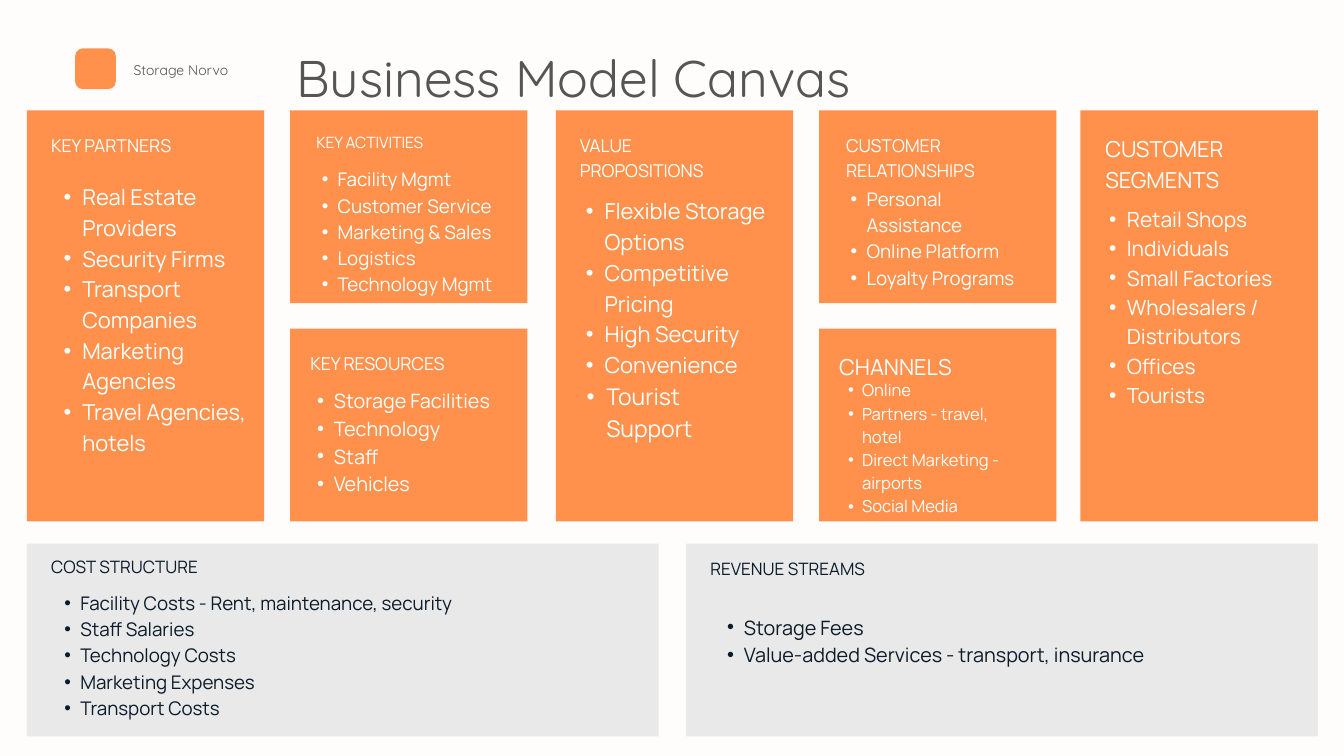
from dataclasses import dataclass

from lxml import etree
from pptx import Presentation
from pptx import util as u
from pptx.dml.color import RGBColor
from pptx.enum import shapes, text
from pptx.oxml import ns


@dataclass(frozen=True)
class Theme:
    page: str = "FFFCFC"
    orange: str = "FF914D"
    grey: str = "E9E9E9"
    white: str = "FFFFFF"
    navy: str = "0B1B2A"
    title: str = "555555"
    brand: str = "545454"
    body_font: str = "Manrope"
    display_font: str = "Quicksand"
    title_size: float = 55.2
    brand_size: float = 15
    head_small: float = 16.7
    head_wide: float = 18.3
    head: float = 19
    head_large: float = 23.6
    list_xs: float = 17.8
    list_s: float = 20.1
    list_m: float = 21.2
    list_l: float = 22.4
    list_xl: float = 23.5
    list_xxl: float = 24.6
    leading: float = 1.4
    brand_leading: float = 1.17
    indent_per_pt: float = 0.06


T = Theme()


@dataclass(frozen=True)
class Block:
    panel: tuple
    head_at: tuple
    head_size: float
    head: list
    list_at: tuple
    list_size: float
    items: list
    last_size: float = 0


TOP, MIDDLE, BOTTOM = 4.17, 12.42, 20.55
SHORT = 7.29
TALL = MIDDLE + SHORT - TOP
NARROW, WIDE = 8.97, 23.88
COL = [1.02, 10.97, 21.01, 30.96, 40.84]
RIGHT_HALF = COL[-1] + NARROW - WIDE

CANVAS = [
    Block((COL[0], TOP, NARROW, TALL), (1.93, 4.95, 7.44), T.head, ["KEY PARTNERS"],
          (1.7, 6.78, 7.67, 11.43), T.list_xl,
          ["Real Estate Providers", "Security Firms", "Transport Companies",
           "Marketing Agencies", "Travel Agencies, hotels"]),
    Block((COL[1], TOP, NARROW, SHORT), (11.96, 4.9, 7.44), T.head_small, ["KEY ACTIVITIES"],
          (11.56, 6.22, 7.44, 4.8), T.list_s,
          ["Facility Mgmt", "Customer Service", "Marketing & Sales", "Logistics",
           "Technology Mgmt"]),
    Block((COL[1], MIDDLE, NARROW, SHORT), (11.73, 13.21, 7.92), T.head, ["KEY RESOURCES"],
          (11.35, 14.55, 7.19, 5.11), T.list_m,
          ["Storage Facilities", "Technology", "Staff", "Vehicles"]),
    Block((COL[2], TOP, NARROW, TALL), (21.92, 4.95, 7.44), T.head, ["VALUE", "PROPOSITIONS"],
          (21.44, 7.32, 7.67, 10.41), T.list_xl,
          ["Flexible Storage Options", "Competitive Pricing", "High Security",
           "Convenience", "Tourist Support"], T.list_xxl),
    Block((COL[3], TOP, NARROW, SHORT), (31.98, 4.95, 7.44), T.head,
          ["CUSTOMER", "RELATIONSHIPS"],
          (31.55, 6.96, 7.44, 3.84), T.list_s,
          ["Personal Assistance", "Online Platform", "Loyalty Programs"]),
    Block((COL[3], MIDDLE, NARROW, SHORT), (31.72, 13.21, 7.92), T.head_large, ["CHANNELS"],
          (31.52, 14.25, 7.19, 6.1), T.list_xs,
          ["Online", "Partners - travel, hotel", "Direct Marketing - airports",
           "Social Media"]),
    Block((COL[4], TOP, NARROW, TALL), (41.78, 4.95, 7.44), T.head_large,
          ["CUSTOMER", "SEGMENTS"],
          (41.25, 7.65, 7.67, 7.59), T.list_l,
          ["Retail Shops", "Individuals", "Small Factories", "Wholesalers / Distributors",
           "Offices", "Tourists"]),
]

FINANCES = [
    Block((COL[0], BOTTOM, WIDE, SHORT), (1.93, 20.9, 9.8), T.head_wide, ["COST STRUCTURE"],
          (1.83, 22.23, 19.61, 4.85), T.list_s,
          ["Facility Costs - Rent, maintenance, security", "Staff Salaries",
           "Technology Costs", "Marketing Expenses", "Transport Costs"]),
    Block((RIGHT_HALF, BOTTOM, WIDE, SHORT), (26.85, 20.98, 8.84), T.head_wide,
          ["REVENUE STREAMS"],
          (26.85, 23.11, 19.74, 2.03), T.list_m,
          ["Storage Fees", "Value-added Services - transport, insurance"]),
]


def add_panel(s, box, colour, kind=shapes.MSO_SHAPE.RECTANGLE):
    sp = s.shapes.add_shape(kind, *map(u.Cm, box))
    sp.shadow.inherit = False
    sp.fill.solid()
    sp.fill.fore_color.rgb = RGBColor.from_string(colour)
    sp.line.fill.background()
    return sp


def prepare_frame(tf):
    tf.word_wrap = True
    tf.auto_size = text.MSO_AUTO_SIZE.NONE
    tf.vertical_anchor = text.MSO_ANCHOR.TOP
    tf.margin_left = tf.margin_right = tf.margin_top = tf.margin_bottom = 0


def add_bullet(p, size):
    indent = u.Cm(size * T.indent_per_pt)
    p.level = 1
    pPr = p._p.get_or_add_pPr()
    pPr.set("marL", str(indent))
    pPr.set("indent", str(-indent // 2))
    etree.SubElement(pPr, ns.qn("a:buFont")).set("typeface", "Arial")
    etree.SubElement(pPr, ns.qn("a:buChar")).set("char", "•")


def write_line(p, words, size, colour, font=T.body_font, leading=T.leading):
    p.alignment = text.PP_ALIGN.LEFT
    p.space_before = u.Pt(0)
    p.line_spacing = u.Pt(round(size * leading, 1))
    r = p.add_run()
    r.text = words
    r.font.name = font
    r.font.size = u.Pt(size)
    r.font.color.rgb = RGBColor.from_string(colour)


def add_lines(s, box, lines, sizes, colour, bullets=False, **style):
    tf = s.shapes.add_textbox(*map(u.Cm, box)).text_frame
    prepare_frame(tf)
    for i, (words, size) in enumerate(zip(lines, sizes)):
        p = tf.add_paragraph() if i else tf.paragraphs[0]
        if bullets:
            add_bullet(p, size)
        write_line(p, words, size, colour, **style)


def add_block(s, block, fill, ink):
    add_panel(s, block.panel, fill)
    count = len(block.head)
    height = u.Pt(count * block.head_size * T.leading).cm
    add_lines(s, (*block.head_at, height), block.head, [block.head_size] * count, ink)
    sizes = [block.list_size] * len(block.items)
    sizes[-1] = block.last_size or block.list_size
    add_lines(s, block.list_at, block.items, sizes, ink, bullets=True)


def add_title(s, words):
    title = s.shapes.title
    title.left, title.top, title.width, title.height = map(u.Cm, (11.2, 1.35, 21.62, 2.62))
    prepare_frame(title.text_frame)
    write_line(title.text_frame.paragraphs[0], words, T.title_size, T.title, T.display_font)


def add_brand(s, name):
    mark = add_panel(s, (2.84, 1.83, 1.54, 1.54), T.orange,
                     shapes.MSO_SHAPE.ROUNDED_RECTANGLE)
    mark.adjustments[0] = 0.19
    add_lines(s, (5.05, 2.34, 4.06, 0.61), [name], [T.brand_size], T.brand,
              font=T.display_font, leading=T.brand_leading)


def main():
    prs = Presentation()
    prs.slide_width, prs.slide_height = u.Cm(50.8), u.Cm(28.58)
    s = prs.slides.add_slide(prs.slide_layouts[5])
    s.background.fill.solid()
    s.background.fill.fore_color.rgb = RGBColor.from_string(T.page)
    add_title(s, "Business Model Canvas")
    for block in CANVAS:
        add_block(s, block, T.orange, T.white)
    for block in FINANCES:
        add_block(s, block, T.grey, T.navy)
    add_brand(s, "Storage Norvo")
    prs.save("out.pptx")


if __name__ == "__main__":
    main()
